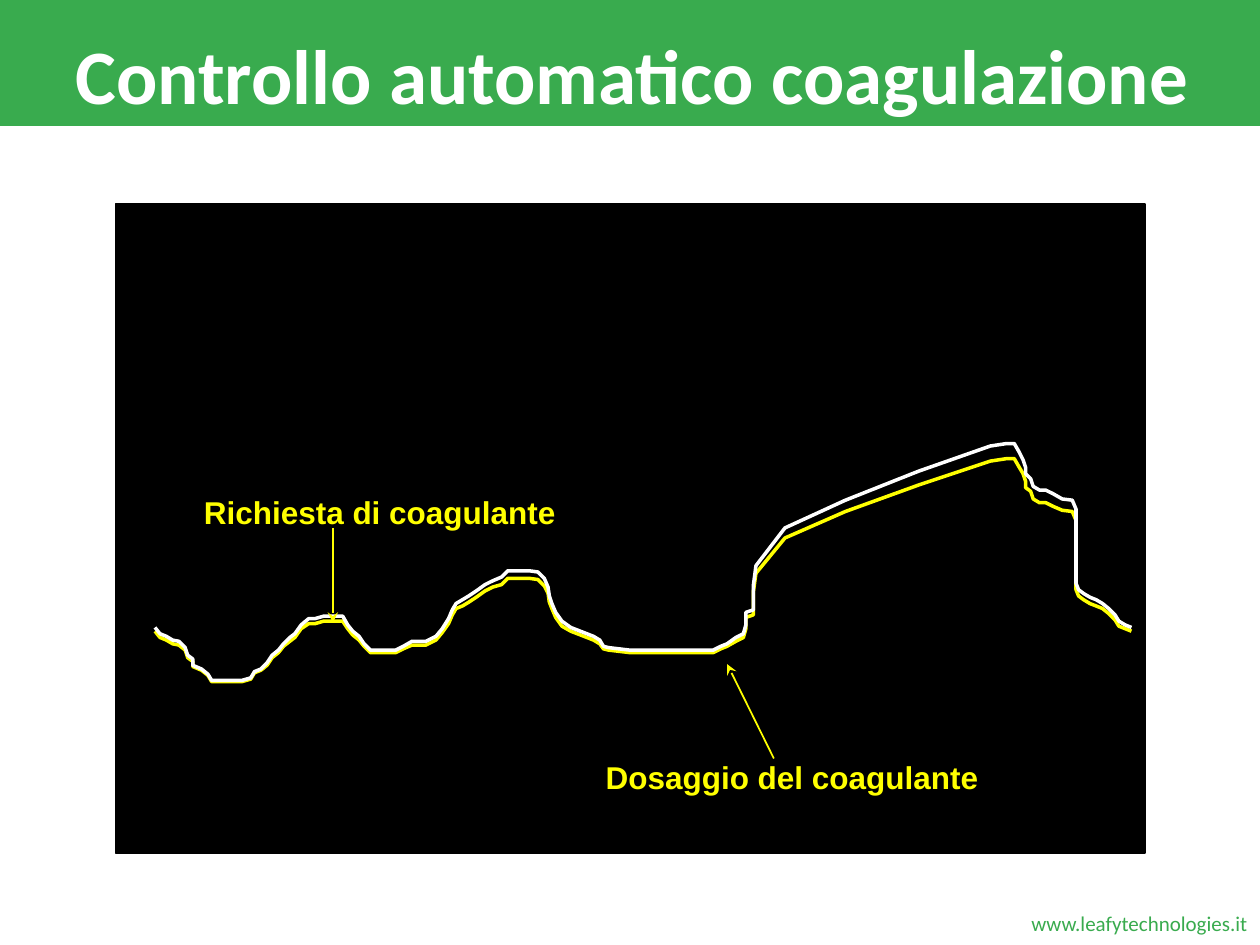
from lxml.etree import SubElement
from pptx import Presentation
from pptx.dml.color import RGBColor
from pptx.enum.shapes import MSO_CONNECTOR, MSO_SHAPE
from pptx.enum.text import MSO_ANCHOR, MSO_AUTO_SIZE, PP_ALIGN
from pptx.oxml.ns import qn
from pptx.util import Cm, Pt

GREEN = RGBColor(0x39, 0xAB, 0x4E)
YELLOW = RGBColor(0xFF, 0xFF, 0x00)
WHITE = RGBColor(0xFF, 0xFF, 0xFF)
BLACK = RGBColor(0x00, 0x00, 0x00)

TITLE_FONT = {"name": "Calibri", "size": Pt(44), "bold": True}
SITE_FONT = {"name": "Calibri", "size": Pt(12), "bold": False}
LABEL_FONT = {"name": "Arial", "size": Pt(18), "bold": True}

# Requested coagulant over time, as (x, y) in hundredths of an inch
DEMAND = [
    (123, 498), (127, 503), (132, 505), (137, 508), (142, 509), (147, 514),
    (149, 520), (153, 523), (153, 528), (160, 531), (165, 535), (168, 540),
    (192, 540), (199, 538), (202, 533), (207, 531), (212, 526), (216, 520),
    (221, 516), (225, 511), (230, 506), (234, 503), (239, 496), (245, 491),
    (250, 491), (257, 489), (272, 489), (276, 496), (280, 501), (285, 505),
    (289, 511), (294, 516), (314, 516), (320, 513), (327, 509), (338, 509),
    (346, 505), (351, 499), (356, 491), (359, 484), (362, 479), (367, 476),
    (372, 473), (378, 469), (385, 464), (391, 461), (398, 458), (403, 453),
    (420, 453), (427, 454), (432, 459), (435, 466), (436, 473), (438, 479),
    (441, 486), (446, 493), (453, 498), (471, 505), (476, 508), (479, 513),
    (483, 514), (500, 516), (566, 516), (572, 513), (577, 511), (584, 506),
    (590, 503), (592, 496), (592, 486), (598, 484), (598, 464), (600, 449),
    (623, 419), (671, 397), (729, 374), (786, 354), (799, 352), (805, 352),
    (809, 359), (812, 365), (814, 371), (814, 376), (818, 380), (820, 386),
    (825, 389), (830, 389), (836, 392), (843, 396), (851, 397), (854, 404),
    (854, 463), (856, 468), (860, 471), (865, 474), (870, 476), (875, 479),
    (880, 483), (885, 488), (888, 493), (893, 496), (898, 498),
]
# The dosage follows the demand, lower and slightly flattened
PEAK_DEMAND, PEAK_DOSAGE, FLATTENING = 352, 364, 0.94
DOSAGE = [(x, round(PEAK_DOSAGE + (y - PEAK_DEMAND) * FLATTENING)) for x, y in DEMAND]


def write(frame, text, font_values, color, align=PP_ALIGN.LEFT):
    """Fill a text frame with one formatted paragraph and return the paragraph."""
    frame.word_wrap = True
    paragraph = frame.paragraphs[0]
    paragraph.text = text
    paragraph.alignment = align
    for attribute, value in font_values.items():
        setattr(paragraph.font, attribute, value)
    paragraph.font.color.rgb = color
    return paragraph


prs = Presentation()
prs.slide_width, prs.slide_height = Cm(25.4), Cm(19.05)
slide = prs.slides.add_slide(prs.slide_layouts[5])
shapes = slide.shapes

# Title on its green band
title = shapes.title
title_place = {"left": Cm(1.27), "top": Cm(0.43), "width": Cm(23.5), "height": Cm(2.11)}
for attribute, value in title_place.items():
    setattr(title, attribute, value)
title.text_frame.auto_size = MSO_AUTO_SIZE.NONE
title.text_frame.vertical_anchor = MSO_ANCHOR.MIDDLE
write(title.text_frame, "Controllo automatico coagulazione", TITLE_FONT, WHITE)

band = shapes.add_shape(MSO_SHAPE.RECTANGLE, Cm(-0.64), 0, Cm(26.87), Cm(2.54))
plot = shapes.add_shape(MSO_SHAPE.RECTANGLE, Cm(2.33), Cm(4.11), Cm(20.75), Cm(13.08))
for panel, color in ((band, GREEN), (plot, BLACK)):
    panel.shadow.inherit = False
    panel.fill.solid()
    panel.fill.fore_color.rgb = color
    panel.line.color.rgb = color
    panel.line.width = Pt(1)
band.line.fill.background()
title.element.addprevious(band.element)

site = shapes.add_textbox(Cm(20.52), Cm(18.24), Cm(4.88), Cm(0.78))
write(site.text_frame, "www.leafytechnologies.it", SITE_FONT, GREEN, PP_ALIGN.RIGHT)

# Curves, dosage behind demand
for points, color in ((DOSAGE, YELLOW), (DEMAND, WHITE)):
    builder = shapes.build_freeform(*points[0], scale=Cm(2.54) / 100)
    builder.add_line_segments(points[1:], close=False)
    curve = builder.convert_to_shape()
    curve.shadow.inherit = False
    curve.fill.background()
    curve.line.color.rgb = color
    curve.line.width = Pt(2)

# Labels, each with an arrow to its curve
callouts = [
    ("Richiesta di coagulante", (3.86, 9.91, 8.2, 0.94), (6.71, 10.64, 6.71, 12.55)),
    ("Dosaggio del coagulante", (11.96, 15.24, 9.2, 0.94), (15.6, 15.29, 14.66, 13.39)),
]
for text, place, ends in callouts:
    label = shapes.add_textbox(*map(Cm, place))
    write(label.text_frame, text, LABEL_FONT, YELLOW).line_spacing = 0.9
    arrow = shapes.add_connector(MSO_CONNECTOR.STRAIGHT, *map(Cm, ends))
    arrow.line.color.rgb = YELLOW
    arrow.line.width = Pt(1)
    SubElement(arrow.line._get_or_add_ln(), qn("a:tailEnd"), type="stealth")
    SubElement(arrow.element.spPr, qn("a:effectLst"))

prs.save("out.pptx")
